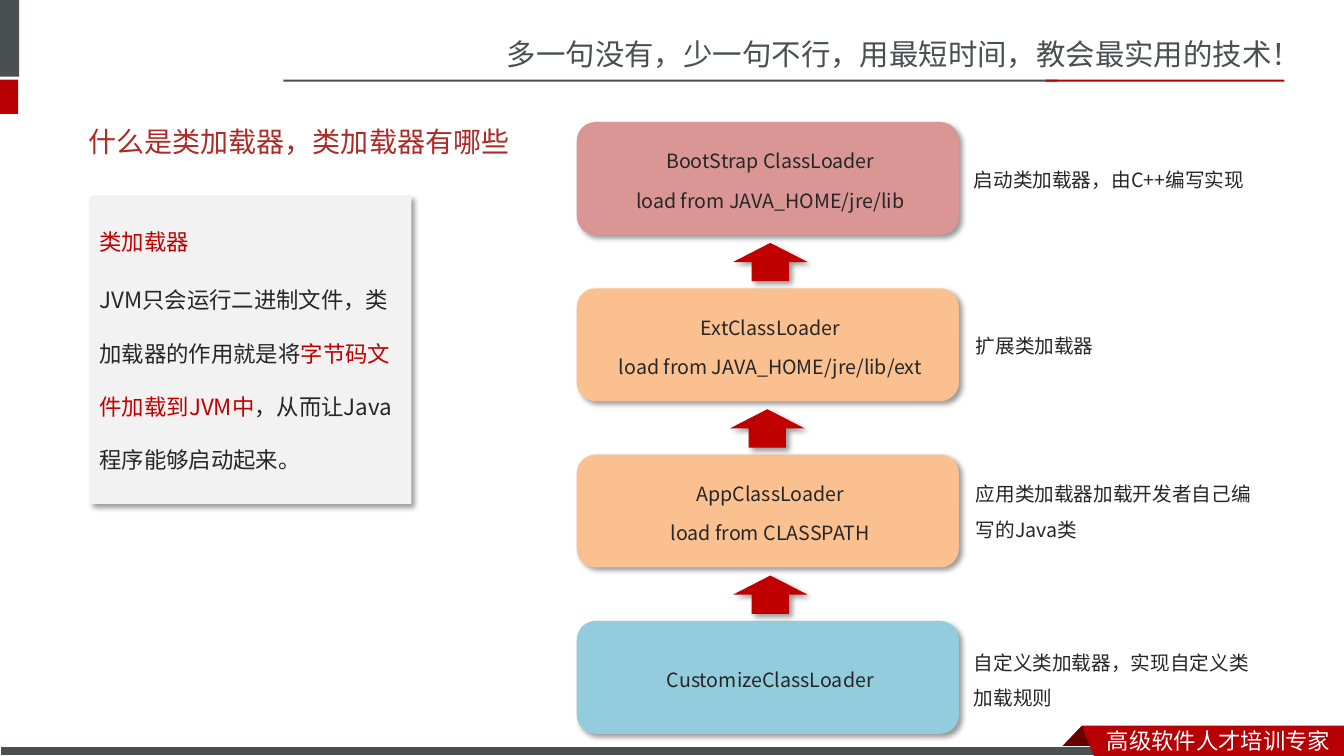
from dataclasses import dataclass

from lxml import etree
from pptx import Presentation
from pptx import util as u
from pptx.dml import color
from pptx.enum import shapes, text
from pptx.oxml import ns

Inches, Pt = u.Inches, u.Pt
KIND = shapes.MSO_SHAPE
MID, TOP = text.MSO_ANCHOR.MIDDLE, text.MSO_ANCHOR.TOP
LEFT, CENTER = text.PP_ALIGN.LEFT, text.PP_ALIGN.CENTER


@dataclass(frozen=True)
class Theme:
    slate: str = "49504F"
    red: str = "B60004"
    fold: str = "680000"
    title: str = "AD2A26"
    accent: str = "C00000"
    ink: str = "262626"
    white: str = "FFFFFF"
    panel: str = "F2F2F2"
    rose: str = "D99694"
    peach: str = "FAC090"
    sky: str = "93CDDD"
    head: str = "Lato"
    body: str = "Noto Sans CJK JP"
    brand: str = "Noto Sans CJK SC"
    slogan: int = 21
    large: int = 20
    medium: int = 16
    small: int = 14


T = Theme()


def rgb(code):
    return color.RGBColor.from_string(code)


def write(shape, paras, size=T.small, tint=T.ink, font=T.body, align=LEFT,
          anchor=TOP, line=25.2, gap=2.8, pad=(0.1, 0.05, 0.1, 0.05)):
    """Fill a shape; each paragraph is a string or a list of (words, tint)."""
    frame = shape.text_frame
    frame.word_wrap = True
    frame.vertical_anchor = anchor
    (frame.margin_left, frame.margin_top,
     frame.margin_right, frame.margin_bottom) = map(Inches, pad)
    for i, parts in enumerate(paras):
        para = frame.add_paragraph() if i else frame.paragraphs[0]
        para.alignment = align
        para.line_spacing = Pt(line)
        para.space_before = Pt(gap if i else 0)
        for words, shade in [(parts, tint)] if isinstance(parts, str) else parts:
            run = para.add_run()
            run.text = words
            run.font.size = Pt(size)
            run.font.name = font
            run.font.color.rgb = rgb(shade)
            east = etree.SubElement(run.font._element, ns.qn("a:ea"))
            east.set("typeface", font)


def label(slide, at, words, **style):
    box = slide.shapes.add_textbox(*map(Inches, at))
    write(box, [words], **style)


def paint(shape, fill, edge=None):
    shape.shadow.inherit = False
    shape.fill.solid()
    shape.fill.fore_color.rgb = rgb(fill)
    if edge:
        shape.line.color.rgb = rgb(edge)
        shape.line.width = Pt(0.75)
    else:
        shape.line.fill.background()


def shade(shape):
    """Cast a soft shadow to the lower right."""
    effects = shape._element.spPr.find(ns.qn("a:effectLst"))
    outer = etree.SubElement(effects, ns.qn("a:outerShdw"), blurRad=str(Pt(4)),
                             dist=str(Pt(3)), dir="2700000", algn="tl",
                             rotWithShape="0")
    tone = etree.SubElement(outer, ns.qn("a:srgbClr"), val="000000")
    etree.SubElement(tone, ns.qn("a:alpha"), val="40000")


def block(slide, at, fill, kind=KIND.RECTANGLE, edge=None, raised=False):
    shape = slide.shapes.add_shape(kind, *map(Inches, at))
    paint(shape, fill, edge)
    if raised:
        shade(shape)
    return shape


def outline(slide, points, fill):
    first, *rest = [(Inches(x), Inches(y)) for x, y in points]
    pen = slide.shapes.build_freeform(*first)
    pen.add_line_segments(rest, close=True)
    paint(pen.convert_to_shape(), fill)


def frame_page(slide):
    # Header slogan, side tabs and rule
    label(slide, (4.93, 0.28, 8.4, 0.47),
          "多一句没有，少一句不行，用最短时间，教会最实用的技术！",
          size=T.slogan, tint=T.slate, font=T.brand, line=27)
    block(slide, (0, 0, 0.19, 0.76), T.slate)
    block(slide, (0, 0.79, 0.18, 0.34), T.red)
    block(slide, (2.81, 0.79, 7.68, 0.02), T.slate)
    block(slide, (10.37, 0.79, 2.37, 0.02), T.red)

    # Footer bar and folded ribbon
    outline(slide, [(10.73, 7.2), (10.95, 7.43), (10.51, 7.43)], T.fold)
    block(slide, (0, 7.41, 10.99, 0.09), T.slate, edge=T.white)
    outline(slide, [(10.73, 7.2), (13.33, 7.2), (13.33, 7.5), (10.85, 7.5)], T.red)
    label(slide, (10.88, 7.15, 2.45, 0.35), "高级软件人才培训专家",
          size=T.medium, tint=T.white, font=T.brand, line=20)


def define(slide):
    # Title and definition panel
    label(slide, (0.78, 1.1, 11.7, 0.57), "什么是类加载器，类加载器有哪些",
          size=T.large, tint=T.title, font=T.head, anchor=MID, line=27)
    panel = block(slide, (0.89, 1.95, 3.19, 3.05), T.panel, raised=True)
    write(panel, [
        [("类加载器", T.accent)],
        [("JVM只会运行二进制文件，类加载器的作用就是将", T.ink),
         ("字节码文件加载到JVM中", T.accent),
         ("，从而让Java程序能够启动起来。", T.ink)],
    ], size=T.medium, line=38.2, gap=3.2)


def stack(slide):
    # Loader hierarchy: top, step and one row per loader
    top, step = 1.21, 1.65
    loaders = [
        (T.rose, ["BootStrap ClassLoader", "load from JAVA_HOME/jre/lib"],
         (9.56, 1.5), "启动类加载器，由C++编写实现"),
        (T.peach, ["ExtClassLoader", "load from JAVA_HOME/jre/lib/ext"],
         (9.58, 3.15), "扩展类加载器"),
        (T.peach, ["AppClassLoader", "load from CLASSPATH"],
         (9.58, 4.62), "应用类加载器加载开发者自己编写的Java类"),
        (T.sky, ["CustomizeClassLoader"],
         (9.56, 6.29), "自定义类加载器，实现自定义类加载规则"),
    ]
    for i, (fill, lines, spot, note) in enumerate(loaders):
        card = block(slide, (5.72, top + i * step, 3.79, 1.12), fill,
                     KIND.ROUNDED_RECTANGLE, raised=True)
        write(card, lines, align=CENTER, anchor=MID, pad=(0.15, 0.05, 0.1, 0.12))
        label(slide, (*spot, 3.1, 0.86), note)

    # Arrows from each loader to its parent
    for i, left in enumerate((7.27, 7.24, 7.27)):
        block(slide, (left, top + 1.2 + i * step, 0.74, 0.38), T.accent,
              KIND.UP_ARROW, raised=True)


def main():
    deck = Presentation()
    deck.slide_width, deck.slide_height = Inches(13.33), Inches(7.5)
    slide = deck.slides.add_slide(deck.slide_layouts[6])
    frame_page(slide)
    define(slide)
    stack(slide)
    deck.save("out.pptx")


if __name__ == "__main__":
    main()
